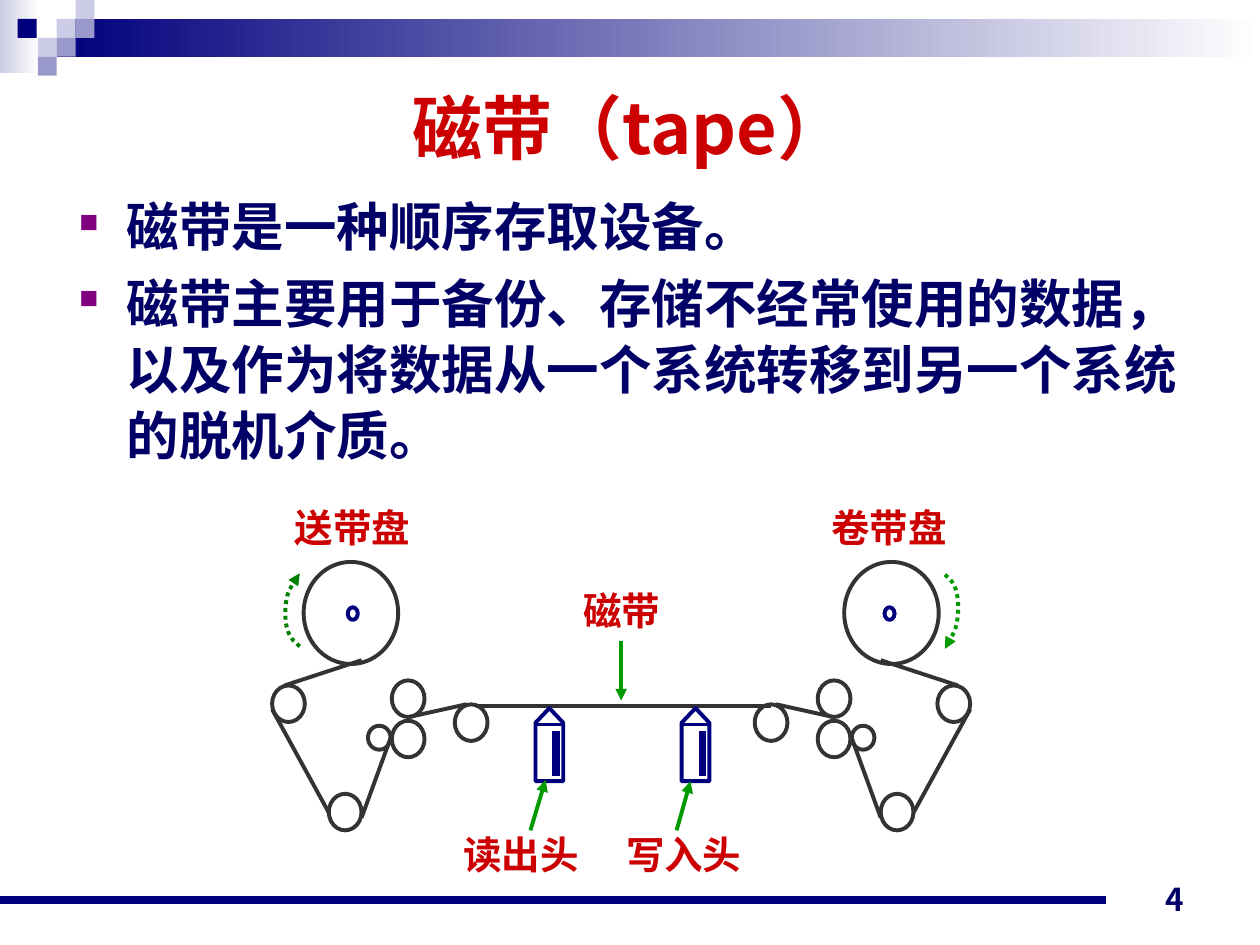
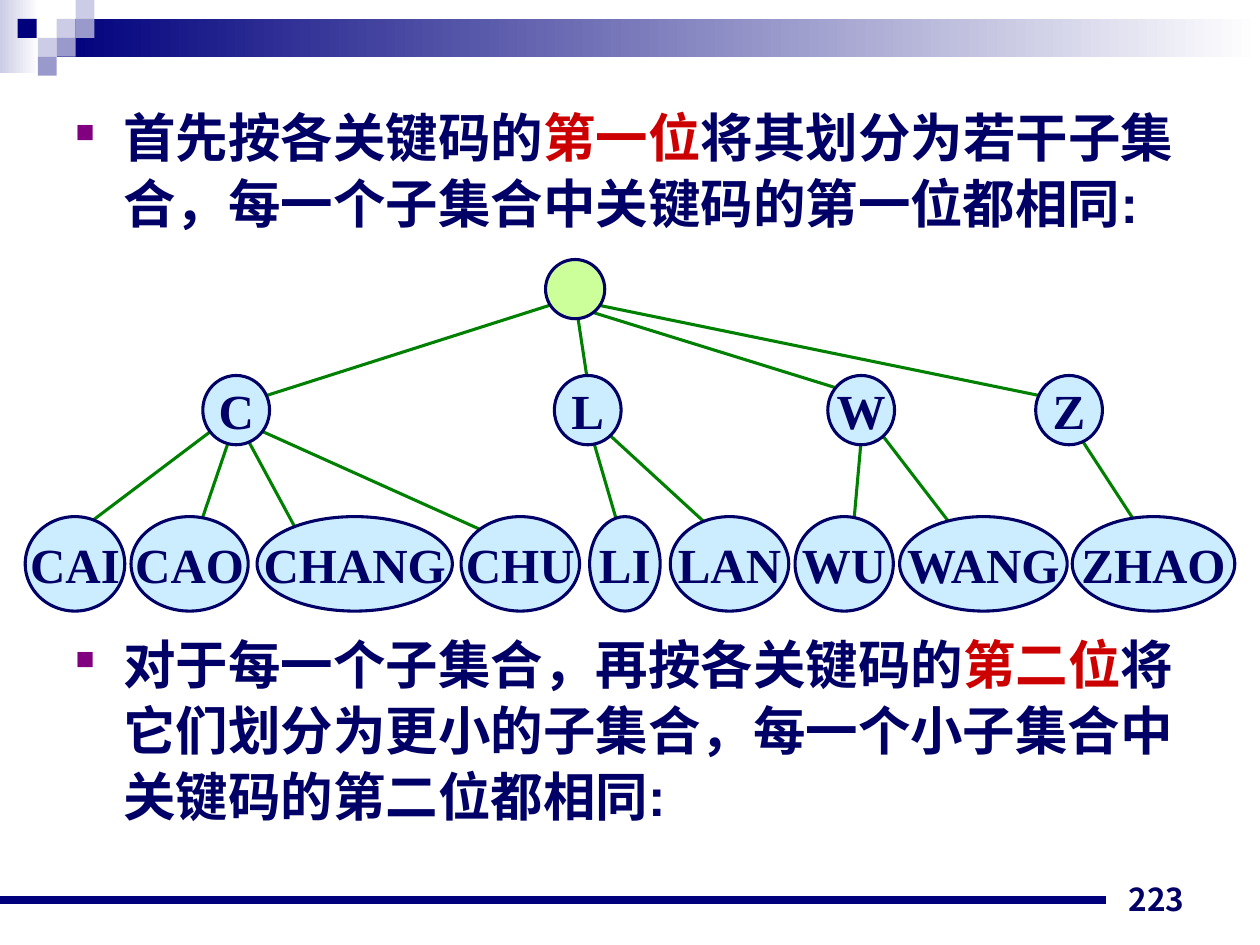
from lxml import etree
from pptx import Presentation
from pptx.dml.color import RGBColor
from pptx.enum import dml, shapes, text
from pptx.oxml.ns import qn
from pptx.util import Inches, Pt

NAVY = RGBColor(0x00, 0x00, 0x7D)
INK = RGBColor(0x00, 0x00, 0x66)
RED = RGBColor(0xCC, 0x00, 0x00)
WHITE = RGBColor(0xFF, 0xFF, 0xFF)
PALE = RGBColor(0xCC, 0xCC, 0xE6)
LAVENDER = RGBColor(0x99, 0x99, 0xCC)
GRAPHITE = RGBColor(0x33, 0x33, 0x33)
GREEN = RGBColor(0x00, 0x99, 0x00)
DARK_GREEN = RGBColor(0x00, 0x80, 0x00)
SKY = RGBColor(0xCC, 0xEC, 0xFF)
LIME = RGBColor(0xCC, 0xFF, 0x99)
BULLET_COLOR = "800080"

HEADING_FONT = "Noto Sans CJK JP"
BODY_FONT = "Noto Sans CJK SC"
LATIN_FONT = "Arial"
LABEL_FONT = "Times New Roman"

TILE = 0.15
BANDS = [(0, 0, 0.31, 0.58, PALE), (0.45, 0.15, 9.55, 0.3, NAVY)]
TILES = [
    (0.45, 0.15, PALE), (0.6, 0, PALE), (0.6, 0.15, LAVENDER), (0.3, 0.3, PALE),
    (0.14, 0.15, NAVY), (0.45, 0.3, LAVENDER), (0.3, 0.45, LAVENDER),
]

TAPE_TITLE = "磁带（tape）"
TAPE_POINTS = [
    [("磁带是一种顺序存取设备。", INK)],
    [("磁带主要用于备份、存储不经常使用的数据，以及作为将数据从一个系统转移到另一个系统的脱机介质。", INK)],
]
MIRROR_AXIS = 4.93
ROLLER = (0.26, 0.29)
LEFT_WHEELS = [
    (2.41, 4.46, 0.75, 0.81), (2.92, 5.76, 0.18, 0.19),
    *[(x, y, *ROLLER) for x, y in
      [(2.16, 5.44), (2.61, 6.3), (3.11, 5.4), (3.11, 5.72), (3.61, 5.59)]],
]
LEFT_HUB = (2.76, 4.82, 0.08, 0.1)
LEFT_TAPE = [
    (2.87, 5.24, 2.26, 5.44), (2.16, 5.63, 2.61, 6.45),
    (2.87, 6.49, 3.11, 5.83), (3.25, 5.69, 3.7, 5.59),
]
MIDDLE_TAPE = (3.78, 5.6, 6.12, 5.6)
HEAD_LEFTS = [4.25, 5.41]
HEAD_TOP, HEAD_WIDTH, HEAD_HEIGHT = 5.62, 0.22, 0.58
POINTERS = [(4.21, 6.59, 4.33, 6.19), (5.37, 6.59, 5.48, 6.2), (4.93, 5.09, 4.93, 5.56)]
TAPE_LABELS = [
    ("读出头", 3.58, 6.55), ("写入头", 4.87, 6.55), ("磁带", 4.53, 4.61),
    ("送带盘", 2.24, 3.95), ("卷带盘", 6.5, 3.95),
]
TURN_ARROWS = [
    (DARK_GREEN, [(2.38, 5.13), (2.33, 5.09), (2.3, 5.06), (2.28, 4.99),
                  (2.26, 4.93), (2.26, 4.81), (2.28, 4.73),
                  (2.3, 4.66), (2.36, 4.58), (2.38, 4.55)]),
    (GREEN, [(7.5, 4.56), (7.54, 4.6), (7.58, 4.63), (7.59, 4.7),
             (7.61, 4.76), (7.61, 4.88), (7.59, 4.96),
             (7.58, 5.03), (7.51, 5.11), (7.5, 5.15)]),
]

FIRST_DIGIT = [
    ("首先按各关键码的", INK), ("第一位", RED),
    ("将其划分为若干子集合，每一个子集合中关键码的第一位都相同:", INK),
]
SECOND_DIGIT = [
    ("对于每一个子集合，再按各关键码的", INK), ("第二位", RED),
    ("将它们划分为更小的子集合，每一个小子集合中关键码的第二位都相同:", INK),
]
ROOT = (4.33, 2.06, 0.47, 0.47)
INITIALS = [("C", 1.61), ("L", 4.4), ("W", 6.57), ("Z", 8.22)]
KEYS = [
    ("CAI", 0.2, 0.79), ("CAO", 1.04, 0.93), ("CHANG", 2.04, 1.55),
    ("CHU", 3.66, 0.94), ("LI", 4.68, 0.56), ("LAN", 5.32, 0.94),
    ("WU", 6.31, 0.78), ("WANG", 7.14, 1.33), ("ZHAO", 8.51, 1.29),
]
BRANCHES = [
    (2.05, 3.16, 4.53, 2.37), (4.57, 2.41, 4.69, 3.2),
    (4.61, 2.45, 6.77, 3.12), (4.69, 2.41, 8.35, 3.16),
    (1.57, 4.22, 1.89, 3.28), (0.67, 4.18, 1.81, 3.32),
    (1.81, 3.2, 2.36, 4.22), (1.85, 3.32, 3.94, 4.26),
    (4.61, 3.16, 4.92, 4.22), (4.65, 3.28, 5.63, 4.18),
    (6.85, 3.32, 6.77, 4.22), (6.93, 3.36, 7.56, 4.18),
    (8.5, 3.36, 9.06, 4.22),
]


def lengths(*values):
    return [Inches(value) for value in values]


def set_font(paragraph, name, size, color=None):
    font = paragraph.font
    font.name, font.size, font.bold = name, Pt(size), True
    if color is not None:
        font.color.rgb = color
    asian_font = HEADING_FONT if name == HEADING_FONT else BODY_FONT
    defaults = paragraph._p.pPr.find(qn("a:defRPr"))
    etree.SubElement(defaults, qn("a:ea"), typeface=asian_font)


def add_shape(page, kind, bounds, fill, outline=None, width=2.25):
    shape = page.shapes.add_shape(kind, *lengths(*bounds))
    shape.shadow.inherit = False
    if fill is not None:
        shape.fill.solid()
        shape.fill.fore_color.rgb = fill
    if outline is None:
        shape.line.fill.background()
    else:
        shape.line.color.rgb = outline
        shape.line.width = Pt(width)
    return shape


def add_oval(page, bounds, fill, outline, width=2.25):
    return add_shape(page, shapes.MSO_SHAPE.OVAL, bounds, fill, outline, width)


def add_arrowhead(line):
    outline = line._element.spPr.find(qn("a:ln"))
    etree.SubElement(outline, qn("a:tailEnd"), type="triangle")


def add_line(page, ends, color, width=2.25, arrow=False):
    line = page.shapes.add_connector(shapes.MSO_CONNECTOR.STRAIGHT, *lengths(*ends))
    line.line.color.rgb = color
    line.line.width = Pt(width)
    if arrow:
        add_arrowhead(line)
    etree.SubElement(line._element.spPr, qn("a:effectLst"))


def add_text(page, bounds, words, name, size, color, align, anchor):
    box = page.shapes.add_textbox(*lengths(*bounds))
    frame = box.text_frame
    frame.word_wrap = True
    frame.vertical_anchor = anchor
    paragraph = frame.paragraphs[0]
    paragraph.text = words
    paragraph.alignment = align
    set_font(paragraph, name, size, color)


def add_bullets(page, bounds, points, name):
    frame = page.shapes.add_textbox(*lengths(*bounds)).text_frame
    frame.word_wrap = True
    for index, spans in enumerate(points):
        paragraph = frame.add_paragraph() if index else frame.paragraphs[0]
        properties = paragraph._p.get_or_add_pPr()
        properties.set("marL", str(Inches(0.38)))
        properties.set("indent", str(-Inches(0.38)))
        bullet_color = etree.SubElement(properties, qn("a:buClr"))
        etree.SubElement(bullet_color, qn("a:srgbClr"), val=BULLET_COLOR)
        etree.SubElement(properties, qn("a:buSzPct"), val="50000")
        etree.SubElement(properties, qn("a:buChar"), char="■")
        paragraph.line_spacing = 1.05
        if index:
            paragraph.space_before = Pt(6)
        set_font(paragraph, name, 30)
        for words, color in spans:
            span = paragraph.add_run()
            span.text = words
            span.font.color.rgb = color


def add_page(deck, number):
    page = deck.slides.add_slide(deck.slide_layouts[6])
    for *bounds, color in BANDS:
        band = add_shape(page, shapes.MSO_SHAPE.RECTANGLE, bounds, None)
        band.fill.gradient()
        band.fill.gradient_angle = 0
        for stop, position, shade in zip(band.fill.gradient_stops, (0, 1), (color, WHITE)):
            stop.position = position
            stop.color.rgb = shade
    for left, top, color in TILES:
        add_shape(page, shapes.MSO_SHAPE.RECTANGLE, (left, top, TILE, TILE), color)
    add_line(page, (0, 7.14, 8.78, 7.14), NAVY, 4.5)
    add_text(page, (7.17, 6.83, 2.33, 0.5), str(number), HEADING_FONT, 18, INK,
             text.PP_ALIGN.RIGHT, text.MSO_ANCHOR.BOTTOM)
    return page


def mirror_box(bounds):
    left, top, width, height = bounds
    return 2 * MIRROR_AXIS - left - width, top, width, height


def mirror_line(ends):
    x1, y1, x2, y2 = ends
    return 2 * MIRROR_AXIS - x1, y1, 2 * MIRROR_AXIS - x2, y2


def curve_points(controls, steps=8):
    points = [controls[0]]
    for start in range(0, len(controls) - 1, 3):
        segment = controls[start:start + 4]
        for step in range(1, steps + 1):
            t = step / steps
            weights = ((1 - t) ** 3, 3 * t * (1 - t) ** 2, 3 * t ** 2 * (1 - t), t ** 3)
            points.append(tuple(sum(w * point[axis] for w, point in zip(weights, segment))
                                for axis in (0, 1)))
    return [lengths(*point) for point in points]


def add_turn_arrow(page, color, controls):
    start, *others = curve_points(controls)
    builder = page.shapes.build_freeform(*start)
    builder.add_line_segments(others, close=False)
    arrow = builder.convert_to_shape()
    arrow.shadow.inherit = False
    arrow.fill.background()
    arrow.line.color.rgb = color
    arrow.line.width = Pt(2.25)
    arrow.line.dash_style = dml.MSO_LINE.ROUND_DOT
    arrow.line._ln.find(qn("a:prstDash")).set("val", "sysDot")
    add_arrowhead(arrow)


def add_tape_head(page, left):
    bounds = (left, HEAD_TOP, HEAD_WIDTH, HEAD_HEIGHT)
    head = add_shape(page, shapes.MSO_SHAPE.FLOWCHART_OFFPAGE_CONNECTOR, bounds, WHITE, NAVY)
    head.rotation = 180
    for offset in (0.15, 0.18):
        add_line(page, (left + offset, 5.8, left + offset, 6.16), NAVY)
    add_line(page, (left, 5.75, left + HEAD_WIDTH, 5.75), NAVY)


def build_tape_page(deck):
    page = add_page(deck, 4)
    add_text(page, (0.5, 0.5, 9, 1.01), TAPE_TITLE, HEADING_FONT, 40, RED,
             text.PP_ALIGN.CENTER, text.MSO_ANCHOR.MIDDLE)
    add_bullets(page, (0.53, 1.47, 9, 2.84), TAPE_POINTS, BODY_FONT)
    for wheel in LEFT_WHEELS:
        for bounds in (wheel, mirror_box(wheel)):
            add_oval(page, bounds, WHITE, GRAPHITE)
    for stretch in LEFT_TAPE:
        for ends in (stretch, mirror_line(stretch)):
            add_line(page, ends, GRAPHITE)
    add_line(page, MIDDLE_TAPE, GRAPHITE)
    for left in HEAD_LEFTS:
        add_tape_head(page, left)
    for ends in POINTERS:
        add_line(page, ends, GREEN, arrow=True)
    for words, left, top in TAPE_LABELS:
        add_text(page, (left, top, 1.19, 0.46), words, LABEL_FONT, 22, RED,
                 text.PP_ALIGN.LEFT, text.MSO_ANCHOR.TOP)
    for bounds in (LEFT_HUB, mirror_box(LEFT_HUB)):
        add_oval(page, bounds, WHITE, NAVY)
    for color, controls in TURN_ARROWS:
        add_turn_arrow(page, color, controls)


def add_node(page, words, bounds):
    node = add_oval(page, bounds, SKY, INK, 1.75)
    frame = node.text_frame
    frame.word_wrap = False
    frame.margin_left = frame.margin_right = frame.margin_top = frame.margin_bottom = 0
    frame.vertical_anchor = text.MSO_ANCHOR.MIDDLE
    paragraph = frame.paragraphs[0]
    paragraph.text = words
    paragraph.alignment = text.PP_ALIGN.CENTER
    set_font(paragraph, LABEL_FONT, 28, INK)


def build_tree_page(deck):
    page = add_page(deck, 223)
    add_bullets(page, (0.5, 0.76, 9, 1.25), [FIRST_DIGIT], LATIN_FONT)
    add_bullets(page, (0.5, 4.94, 9, 1.8), [SECOND_DIGIT], LATIN_FONT)
    for ends in BRANCHES:
        add_line(page, ends, DARK_GREEN, 1.75)
    add_oval(page, ROOT, LIME, INK, 1.75)
    for words, left in INITIALS:
        add_node(page, words, (left, 2.98, 0.53, 0.55))
    for words, left, width in KEYS:
        add_node(page, words, (left, 4.1, width, 0.75))


def main():
    deck = Presentation()
    deck.slide_width, deck.slide_height = lengths(10, 7.5)
    build_tape_page(deck)
    build_tree_page(deck)
    deck.save("out.pptx")


if __name__ == "__main__":
    main()
